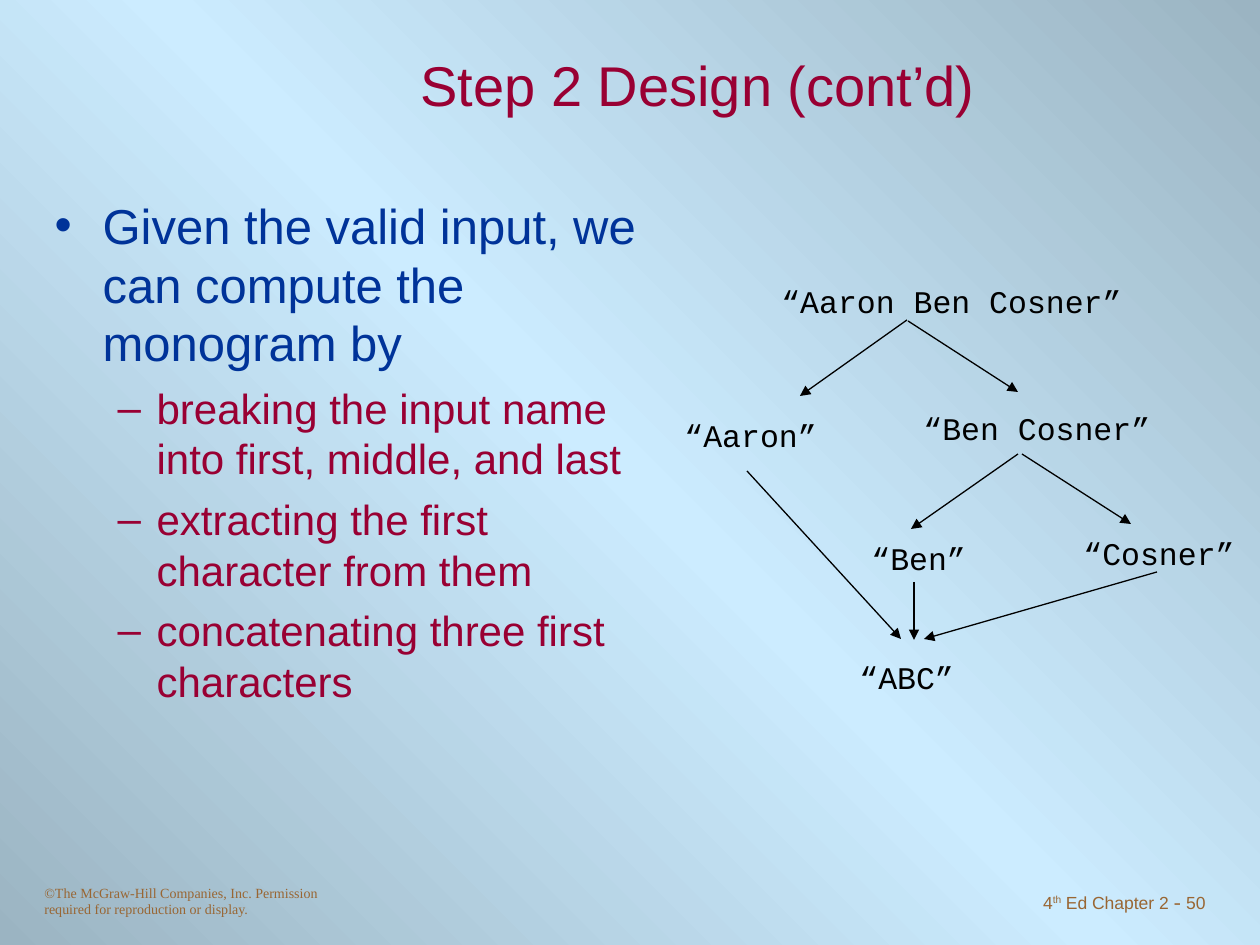
from copy import deepcopy
from dataclasses import dataclass

from lxml.etree import SubElement
from pptx import Presentation
from pptx.dml.color import RGBColor
from pptx.enum.shapes import MSO_CONNECTOR as Connector
from pptx.enum.text import MSO_ANCHOR as Anchor, MSO_AUTO_SIZE as AutoSize, PP_ALIGN as Align
from pptx.oxml.ns import qn
from pptx.util import Emu, Pt

NAVY = RGBColor(0x00, 0x33, 0x99)
CRIMSON = RGBColor(0x99, 0x00, 0x33)
BROWN = RGBColor(0x99, 0x66, 0x33)
BLACK = RGBColor(0x00, 0x00, 0x00)
SKY = RGBColor(0xCC, 0xEC, 0xFF)
SLATE = RGBColor(0x9B, 0xB4, 0xC2)
SCALE = 914400 / 126


@dataclass(frozen=True)
class Label:
    text: str
    left: int
    top: int
    width: int


@dataclass(frozen=True)
class Arrow:
    start: tuple[int, int]
    end: tuple[int, int]


@dataclass(frozen=True)
class Bullet:
    text: str
    level: int = 1
    mark: str = "–"
    size: int = 24
    color: RGBColor = CRIMSON
    margin: int = 102
    hanging: int = 39
    space_before: int = 6


LABELS = [
    Label("“Aaron Ben Cosner”", 769, 276, 380),
    Label("“Aaron”", 672, 410, 158),
    Label("“Ben Cosner”", 911, 403, 252),
    Label("“Ben”", 859, 533, 120),
    Label("“Cosner”", 1071, 528, 176),
    Label("“ABC”", 847, 652, 120),
]
ARROWS = [
    Arrow((907, 320), (800, 396)),
    Arrow((908, 321), (1018, 392)),
    Arrow((1018, 454), (911, 529)),
    Arrow((1022, 454), (1131, 524)),
    Arrow((747, 471), (901, 639)),
    Arrow((914, 582), (914, 640)),
    Arrow((1157, 572), (924, 639)),
]
BULLETS = [
    Bullet("Given the valid input, we can compute the monogram by",
           0, "•", 28, NAVY, 48, 48, 0),
    Bullet("breaking the input name into first, middle, and last"),
    Bullet("extracting the first character from them"),
    Bullet("concatenating three first characters"),
]


def px(value: int) -> Emu:
    return Emu(round(value * SCALE))


def add_text(paragraph, text: str, *, size: int, color: RGBColor, font: str = "Arial",
             align=None, baseline: int = 0) -> None:
    run = paragraph.add_run()
    run.text = text
    run.font.size = Pt(size)
    run.font.name = font
    run.font.color.rgb = color
    if align is not None:
        paragraph.alignment = align
    if baseline:
        run.font._element.set("baseline", str(baseline * 1000))


def place(shape, left: int, top: int, width: int, height: int) -> None:
    shape.left, shape.top = px(left), px(top)
    shape.width, shape.height = px(width), px(height)


def add_box(shapes, left: int, top: int, width: int, height: int, wrap: bool = True):
    box = shapes.add_textbox(px(left), px(top), px(width), px(height))
    box.text_frame.word_wrap = wrap
    return box.text_frame.paragraphs[0]


def add_label(shapes, label: Label) -> None:
    paragraph = add_box(shapes, label.left, label.top, label.width, 50, wrap=False)
    add_text(paragraph, label.text, size=18, color=BLACK, font="Courier New")


def add_arrow(shapes, arrow: Arrow) -> None:
    connector = shapes.add_connector(
        Connector.STRAIGHT, *map(px, arrow.start), *map(px, arrow.end))
    connector.line.color.rgb = BLACK
    connector.line.width = Pt(0.75)
    SubElement(connector.line._get_or_add_ln(), qn("a:tailEnd"), type="triangle")
    SubElement(connector._element.spPr, qn("a:effectLst"))


def add_bullet(paragraph, bullet: Bullet) -> None:
    paragraph.level = bullet.level
    properties = paragraph._p.get_or_add_pPr()
    properties.set("marL", str(px(bullet.margin)))
    properties.set("indent", str(-px(bullet.hanging)))
    bullet_color = SubElement(properties, qn("a:buClr"))
    SubElement(bullet_color, qn("a:srgbClr"), val=str(bullet.color))
    SubElement(properties, qn("a:buChar"), char=bullet.mark)
    paragraph.space_before = Pt(bullet.space_before)
    add_text(paragraph, bullet.text, size=bullet.size, color=bullet.color)


def fill_background(slide) -> None:
    fill = slide.background.fill
    fill.gradient()
    fill.gradient_angle = 45
    edge, middle = fill.gradient_stops
    edge.color.rgb, edge.position = SLATE, 0
    middle.color.rgb, middle.position = SKY, 0.5
    stop_list = slide.element.find(".//" + qn("a:gsLst"))
    last_stop = deepcopy(stop_list[0])
    last_stop.set("pos", "100000")
    stop_list.append(last_stop)


def main() -> None:
    presentation = Presentation()
    presentation.slide_width, presentation.slide_height = px(1260), px(945)
    slide = presentation.slides.add_slide(presentation.slide_layouts[1])
    fill_background(slide)

    copyright_line = add_box(slide.shapes, 32, 878, 315, 47)
    add_text(copyright_line,
             "©The McGraw-Hill Companies, Inc. Permission required for reproduction or display.",
             size=8, color=BROWN, font="Times New Roman")

    footer = add_box(slide.shapes, 945, 882, 273, 43)
    add_text(footer, "4", size=10, color=BROWN, align=Align.RIGHT)
    add_text(footer, "th", size=10, color=BROWN, baseline=30)
    add_text(footer, " Ed Chapter 2", size=10, color=BROWN)
    add_text(footer, " - ", size=12, color=BROWN, font="Times New Roman")
    add_text(footer, "50", size=10, color=BROWN)

    title = slide.shapes.title
    place(title, 189, 32, 1018, 105)
    title.text_frame.auto_size = AutoSize.NONE
    title.text_frame.vertical_anchor = Anchor.MIDDLE
    add_text(title.text_frame.paragraphs[0], "Step 2 Design (cont’d)",
             size=32, color=CRIMSON, align=Align.CENTER)

    body = slide.placeholders[1]
    place(body, 42, 189, 630, 620)
    frame = body.text_frame
    frame.auto_size = AutoSize.NONE
    for index, bullet in enumerate(BULLETS):
        add_bullet(frame.add_paragraph() if index else frame.paragraphs[0], bullet)

    diagram = slide.shapes.add_group_shape().shapes
    for label in LABELS:
        add_label(diagram, label)
    for arrow in ARROWS:
        add_arrow(diagram, arrow)

    presentation.save("out.pptx")


if __name__ == "__main__":
    main()
